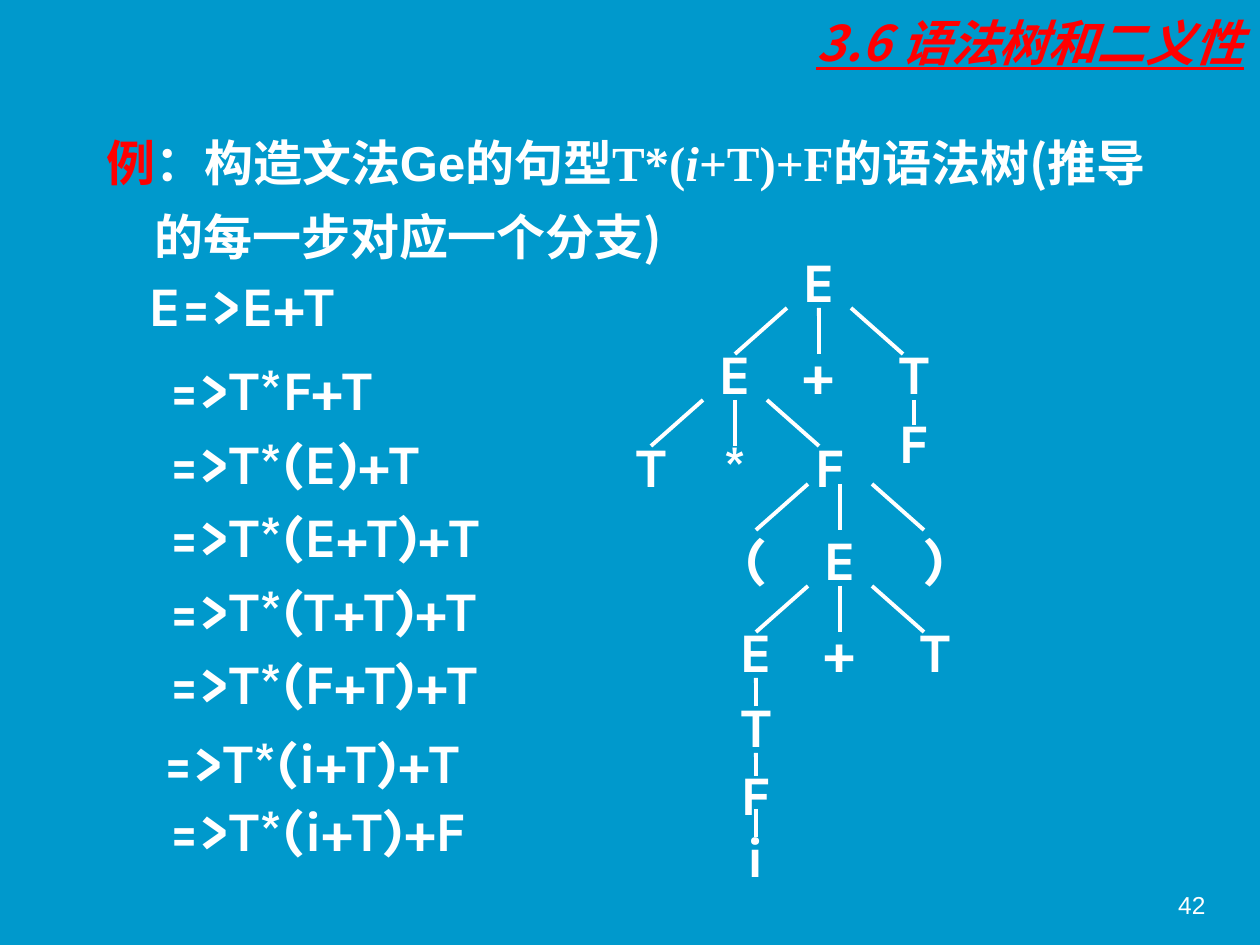
from dataclasses import dataclass

from lxml.etree import SubElement
from pptx import Presentation
from pptx.dml.color import RGBColor
from pptx.enum.shapes import MSO_CONNECTOR as Connector
from pptx.enum.text import MSO_ANCHOR as Anchor, PP_ALIGN as Align
from pptx.oxml.ns import qn
from pptx.util import Emu, Pt


@dataclass(frozen=True)
class Theme:
    background: RGBColor = RGBColor(0x00, 0x99, 0xCC)
    text: RGBColor = RGBColor(0xFF, 0xFF, 0xFF)
    accent: RGBColor = RGBColor(0xFF, 0x00, 0x00)
    chinese: str = "Noto Sans CJK SC"
    sans: str = "Arial"
    serif: str = "Times New Roman"
    symbol: str = "Karla"
    heading_size: int = 28
    symbol_size: int = 32
    number_size: int = 14
    line_width: float = 2.25


THEME = Theme()
PX_PER_INCH = 126

TITLE = "3.6 语法树和二义性"
# text, font, colour, italic
EXAMPLE = [
    ("例", THEME.chinese, THEME.accent, False),
    ("：构造", THEME.sans, THEME.text, False),
    ("文法", THEME.chinese, THEME.text, False),
    ("Ge", THEME.sans, THEME.text, False),
    ("的句型", THEME.chinese, THEME.text, False),
    ("T*(", THEME.serif, THEME.text, False),
    ("i", THEME.serif, THEME.text, True),
    ("+T)+F", THEME.serif, THEME.text, False),
    ("的语法树(推导的每一步对应一个分支)", THEME.chinese, THEME.text, False),
]
# text, left, top
DERIVATION = [
    ("E=>E+T", 136, 273),
    ("=>T*F+T", 157, 357),
    ("=>T*(E)+T", 157, 431),
    ("=>T*(E+T)+T", 157, 504),
    ("=>T*(T+T)+T", 157, 578),
    ("=>T*(F+T)+T", 157, 651),
    ("=>T*(i+T)+T", 151, 730),
    ("=>T*(i+T)+F", 157, 798),
]
STEP_WIDTH, STEP_HEIGHT = 388, 63

# row top, row height, (symbol, centre x) ...
TREE_ROWS = [
    (252, 56, [("E", 819)]),
    (344, 56, [("E", 735), ("+", 819), ("T", 914)]),
    (417, 49, [("F", 914)]),
    (437, 56, [("T", 651), ("*", 735), ("F", 830)]),
    (530, 56, [("(", 756), ("E", 840), (")", 935)]),
    (622, 56, [("E", 756), ("+", 840), ("T", 935)]),
    (697, 56, [("T", 756)]),
    (769, 49, [("F", 756)]),
    (827, 56, [("i", 756)]),
]
NODE_WIDTH = 64
# centre x, top of a three-way branch
BRANCHES = [(819, 308), (735, 400), (840, 484), (840, 586)]
BRANCH_HEIGHT, BRANCH_INNER, BRANCH_OUTER = 46, 32, 84
# centre x, top, bottom of a single branch
STEMS = [(914, 400, 425), (756, 678, 706), (756, 753, 776), (756, 809, 837)]


def px(value):
    return Emu(round(value * 914400 / PX_PER_INCH))


def style(font, name, size, color=THEME.text, bold=True):
    font.name, font.size, font.bold = name, Pt(size), bold
    font.color.rgb = color


def add_chinese_run(paragraph, text, font, color, italic):
    """Add a bold heading run whose Chinese characters use the theme's Chinese font."""
    run = paragraph.add_run()
    run.text = text
    style(run.font, font, THEME.heading_size, color)
    run.font.italic = italic
    SubElement(run.font._element, qn("a:ea"), typeface=THEME.chinese)
    return run


def add_box(slide, left, top, width, height, anchor=Anchor.MIDDLE, wrap=True):
    shape = slide.shapes.add_textbox(px(left), px(top), px(width), px(height))
    shape.text_frame.word_wrap = wrap
    shape.text_frame.vertical_anchor = anchor
    return shape


def add_symbols(slide, text, left, top, width, height, align):
    shape = add_box(slide, left, top, width, height, wrap=False)
    paragraph = shape.text_frame.paragraphs[0]
    paragraph.text, paragraph.alignment = text, align
    style(paragraph.font, THEME.symbol, THEME.symbol_size)
    return shape


def add_headings(slide):
    paragraph = add_box(slide, 766, 10, 490, 63).text_frame.paragraphs[0]
    paragraph.alignment = Align.RIGHT
    run = add_chinese_run(paragraph, TITLE, THEME.chinese, THEME.accent, True)
    run.font.underline = True

    frame = add_box(slide, 94, 118, 1093, 722, Anchor.TOP).text_frame
    frame.margin_top = 0
    paragraph = frame.paragraphs[0]
    paragraph.line_spacing = Pt(42)
    properties = paragraph._p.get_or_add_pPr()
    properties.set("marL", str(px(48)))
    properties.set("indent", str(px(-48)))
    for part in EXAMPLE:
        add_chinese_run(paragraph, *part)


def add_nodes(slide):
    """Draw the tree symbols; return the joining points as {(x, y): (shape, site)}."""
    joints = {}
    for top, height, symbols in TREE_ROWS:
        for text, center in symbols:
            shape = add_symbols(slide, text, center - NODE_WIDTH // 2, top,
                                NODE_WIDTH, height, Align.CENTER)
            joints[center, top] = shape, 0
            joints[center, top + height] = shape, 2
    return joints


def add_branch(slide, start, end, joints):
    line = slide.shapes.add_connector(Connector.STRAIGHT, *map(px, start + end))
    line.line.color.rgb = THEME.text
    line.line.width = Pt(THEME.line_width)
    SubElement(line._element.spPr, qn("a:effectLst"))
    for point, connect in ((start, line.begin_connect), (end, line.end_connect)):
        if point in joints:
            connect(*joints[point])


def add_tree(slide):
    joints = add_nodes(slide)
    for center, top in BRANCHES:
        for side in (-1, 0, 1):
            add_branch(slide, (center + side * BRANCH_INNER, top),
                       (center + side * BRANCH_OUTER, top + BRANCH_HEIGHT), joints)
    for center, top, bottom in STEMS:
        add_branch(slide, (center, top), (center, bottom), joints)


def main():
    presentation = Presentation()
    presentation.slide_width, presentation.slide_height = px(1260), px(945)
    slide = presentation.slides.add_slide(presentation.slide_layouts[6])
    slide.background.fill.solid()
    slide.background.fill.fore_color.rgb = THEME.background

    add_headings(slide)
    add_tree(slide)
    for text, left, top in DERIVATION:
        add_symbols(slide, text, left, top, STEP_WIDTH, STEP_HEIGHT, Align.LEFT)

    number = add_box(slide, 903, 861, 315, 65, Anchor.BOTTOM).text_frame.paragraphs[0]
    number.text, number.alignment = "42", Align.RIGHT
    style(number.font, THEME.sans, THEME.number_size, bold=False)
    presentation.save("out.pptx")


if __name__ == "__main__":
    main()
